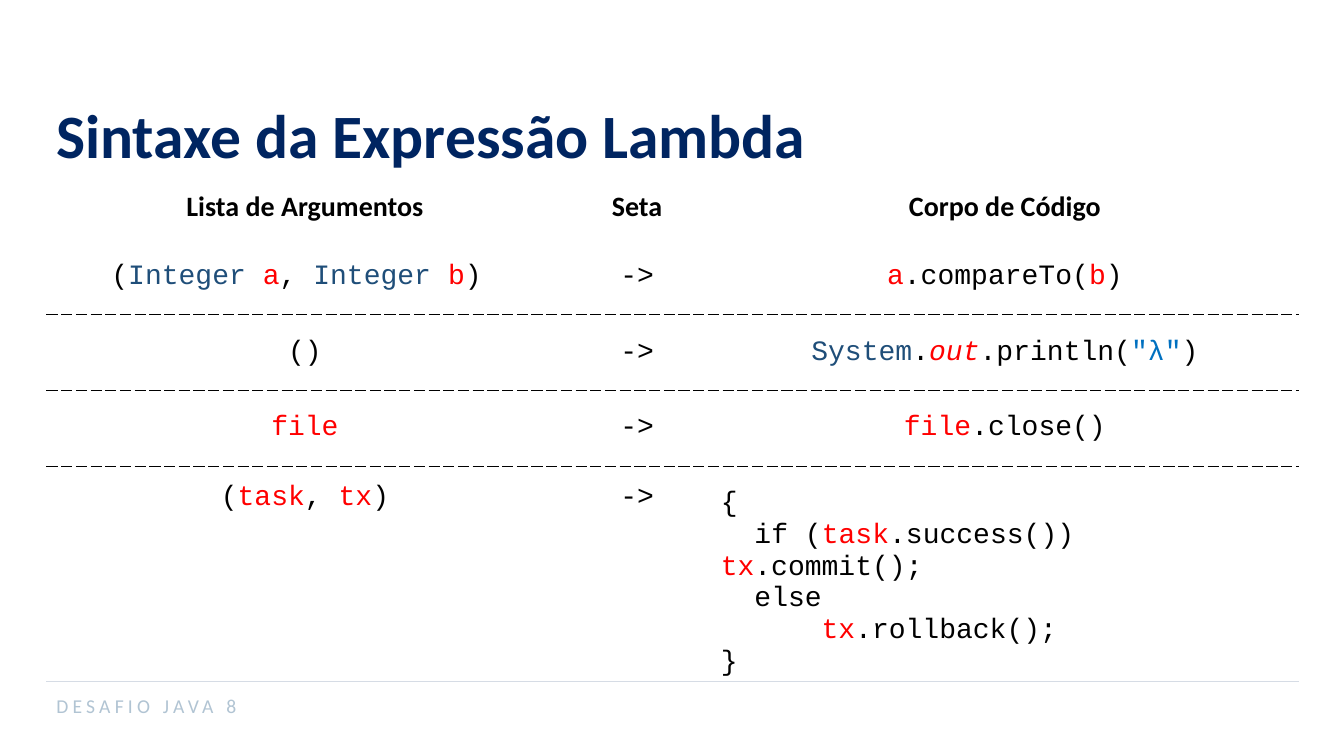
"""Build the slide on lambda expression syntax."""
from lxml.etree import SubElement
from pptx import Presentation
from pptx.dml.color import RGBColor
from pptx.enum.shapes import MSO_CONNECTOR
from pptx.enum.text import MSO_ANCHOR, PP_ALIGN
from pptx.oxml import parse_xml
from pptx.oxml.ns import nsdecls, qn
from pptx.util import Cm, Pt

BLACK, RED, NAVY, BLUE = "000000", "FF0000", "1F4E79", "0070C0"
LEFT, WIDTH = 1.17, 31.57


def style(run, size, color, name="Calibri", bold=False):
    run.font.size = Pt(size)
    run.font.name = name
    run.font.bold = bold
    run.font.color.rgb = RGBColor.from_string(color)


presentation = Presentation()
presentation.slide_width = Cm(33.87)
presentation.slide_height = Cm(19.05)
slide = presentation.slides.add_slide(presentation.slide_layouts[6])

rule = slide.shapes.add_connector(
    MSO_CONNECTOR.STRAIGHT, Cm(LEFT), Cm(17.17), Cm(LEFT + WIDTH), Cm(17.17))
rule.line.color.rgb = RGBColor.from_string("D6DCE5")
rule.line.width = Pt(0.5)
SubElement(rule._element.spPr, qn("a:effectLst"))

for text, top, width, height, size, color, bold, spacing in [
    ("Sintaxe da Expressão Lambda", 2.03, WIDTH, 2.67, 44, "002561", True, 0),
    ("DESAFIO JAVA 8", 17.27, 17.88, 1.02, 14, "B1C4D3", False, 300),
]:
    box = slide.shapes.add_textbox(Cm(LEFT), Cm(top), Cm(width), Cm(height))
    box.text_frame.word_wrap = True
    box.text_frame.vertical_anchor = MSO_ANCHOR.MIDDLE
    box.text_frame.text = text
    run = box.text_frame.paragraphs[0].runs[0]
    style(run, size, color, bold=bold)
    run.font._element.set("spc", str(spacing))

arrow = [[("->", BLACK)]]
code_block = [
    [("{", BLACK)],
    [("if (", BLACK), ("task", RED), (".success()) \t", BLACK),
     ("tx", RED), (".commit();", BLACK)],
    [("else", BLACK)],
    [("tx", RED), (".rollback();", BLACK)],
    [("}", BLACK)],
]
block_indents = [0, 0.85, 0.85, 2.54, 0]
rows = [
    [[[(heading, BLACK)]] for heading in ("Lista de Argumentos", "Seta", "Corpo de Código")],
    [[[("(", BLACK), ("Integer ", NAVY), ("a", RED), (", ", BLACK),
       ("Integer ", NAVY), ("b", RED), (") ", BLACK)]],
     arrow,
     [[("a", RED), (".compareTo(", BLACK), ("b", RED), (")", BLACK)]]],
    [[[("()", BLACK)]],
     arrow,
     [[("System", NAVY), (".", BLACK), ("out", RED), (".println(", BLACK),
       ('"λ"', BLUE), (")", BLACK)]]],
    [[[("file", RED)]], arrow, [[("file", RED), (".close()", BLACK)]]],
    [[[("(", BLACK), ("task", RED), (", ", BLACK), ("tx", RED), (")", BLACK)]],
     arrow,
     code_block],
]
column_widths = [13.03, 3.71, 14.83]
row_heights = [1.6, 1.91, 1.91, 1.91, 5.33]
last_row = len(rows) - 1

table = slide.shapes.add_table(
    len(rows), len(column_widths), Cm(LEFT), Cm(4.42), Cm(WIDTH), Cm(sum(row_heights))).table
table.first_row = False
table.horz_banding = False
for column, width in zip(table.columns, column_widths):
    column.width = Cm(width)
for row, height in zip(table.rows, row_heights):
    row.height = Cm(height)

for row_index, row in enumerate(rows):
    for column_index, lines in enumerate(row):
        cell = table.cell(row_index, column_index)
        is_block = lines is code_block
        cell.fill.background()
        cell.vertical_anchor = MSO_ANCHOR.MIDDLE
        if row_index == last_row:
            cell.margin_top = Cm(0.41)
            if not is_block:
                cell.vertical_anchor = MSO_ANCHOR.TOP

        dashed = {"lnT": row_index > 1, "lnB": 0 < row_index < last_row}
        properties = cell._tc.get_or_add_tcPr()
        for position, edge in enumerate(("lnL", "lnR", "lnT", "lnB")):
            line = "<a:noFill/>"
            if dashed.get(edge):
                line = (f'<a:solidFill><a:srgbClr val="{BLACK}"/></a:solidFill>'
                        '<a:prstDash val="lgDash"/>')
            properties.insert(position, parse_xml(
                f'<a:{edge} {nsdecls("a")} w="12700">{line}</a:{edge}>'))

        for line_index, pieces in enumerate(lines):
            frame = cell.text_frame
            paragraph = frame.add_paragraph() if line_index else frame.paragraphs[0]
            paragraph.alignment = PP_ALIGN.LEFT if is_block else PP_ALIGN.CENTER
            if is_block:
                paragraph_properties = paragraph._p.get_or_add_pPr()
                paragraph_properties.set("marL", "0")
                paragraph_properties.set("indent", str(Cm(block_indents[line_index])))
            for text, color in pieces:
                run = paragraph.add_run()
                run.text = text
                if row_index == 0:
                    style(run, 20, color, bold=True)
                else:
                    style(run, 20, color, "Courier New")
                    run.font.italic = text == "out"

presentation.save("out.pptx")
